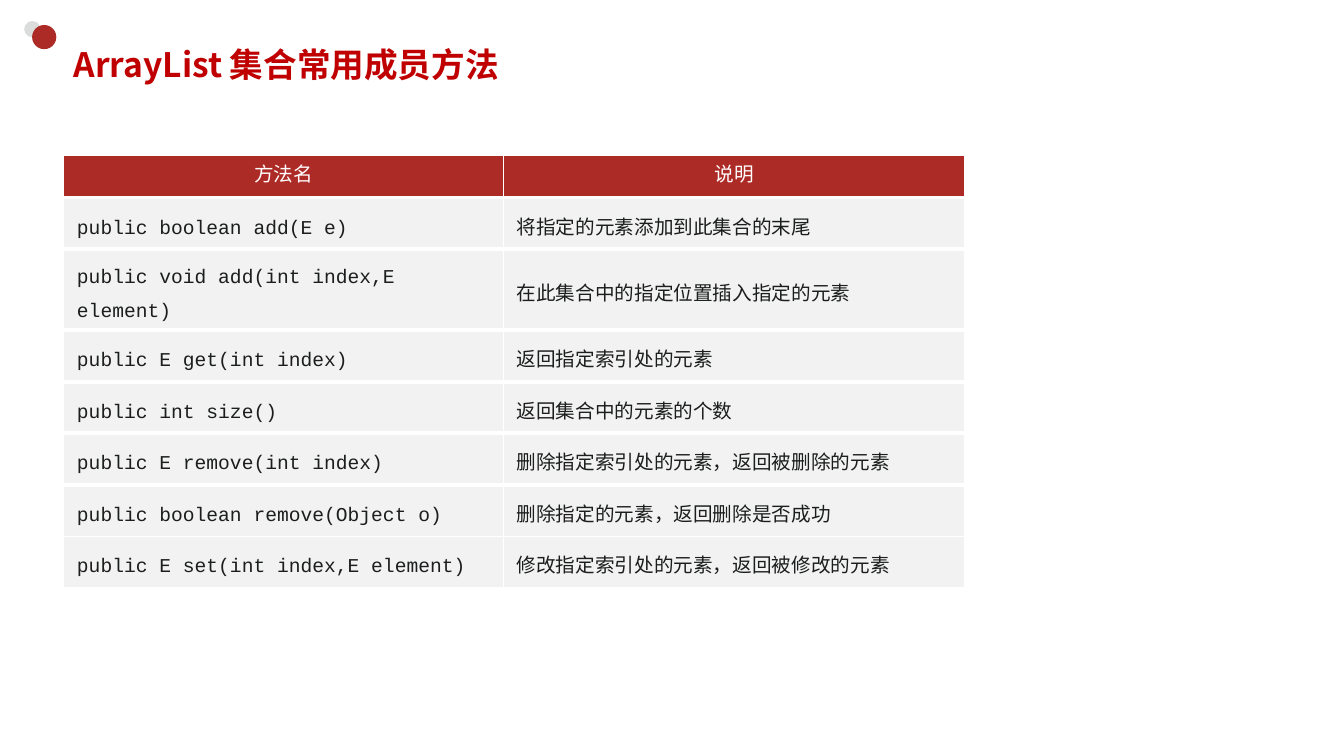
from dataclasses import dataclass
from lxml.etree import SubElement
from pptx import Presentation
from pptx.dml.color import RGBColor
from pptx.enum.shapes import MSO_SHAPE
from pptx.enum.text import MSO_ANCHOR, PP_ALIGN
from pptx.oxml import parse_xml
from pptx.oxml.ns import nsdecls, qn
from pptx.util import Cm, Pt


@dataclass(frozen=True)
class Theme:
    title: str = "C00000"
    red: str = "AD2B26"
    grey: str = "DADDDC"
    pale: str = "F2F2F2"
    ink: str = "1B1E1D"
    white: str = "FFFFFF"
    sans: str = "Noto Sans CJK JP"
    mono: str = "Courier New"
    big: int = 24
    body: int = 14
    thin: int = 1
    thick: int = 3


class Page:
    def __init__(self, slide, theme):
        self.slide, self.theme = slide, theme

    def style(self, para, face, size, color, bold=False):
        font = para.font
        font.name, font.size, font.bold = face, Pt(size), bold
        font.color.rgb = RGBColor.from_string(color)
        # East Asian text uses the same face
        east = parse_xml(f'<a:ea {nsdecls("a")} typeface="{face}"/>')
        para._p.find(".//" + qn("a:latin")).addnext(east)

    def dot(self, left, top, size, color):
        dot = self.slide.shapes.add_shape(
            MSO_SHAPE.OVAL, Cm(left), Cm(top), Cm(size), Cm(size))
        dot.shadow.inherit = False
        dot.fill.solid()
        dot.fill.fore_color.rgb = RGBColor.from_string(color)
        dot.line.fill.background()

    def title(self, text, left, top, width, height):
        box = self.slide.shapes.add_textbox(
            Cm(left), Cm(top), Cm(width), Cm(height))
        frame = box.text_frame
        frame.word_wrap = True
        frame.vertical_anchor = MSO_ANCHOR.MIDDLE
        frame.text = text
        look = self.theme
        self.style(frame.paragraphs[0], look.sans, look.big, look.title, True)

    def edges(self, cell, top, bottom):
        look = self.theme
        props = cell._tc.get_or_add_tcPr()
        sides = dict(L=look.thin, R=look.thin, T=top, B=bottom)
        for side, width in sides.items():
            line = SubElement(props, qn(f"a:ln{side}"), w=str(Pt(width)))
            fill = SubElement(line, qn("a:solidFill"))
            SubElement(fill, qn("a:srgbClr"), val=look.white)

    def cell(self, cell, text, head, top, bottom):
        look = self.theme
        self.edges(cell, top, bottom)
        cell.fill.solid()
        cell.fill.fore_color.rgb = RGBColor.from_string(
            look.red if head else look.pale)
        cell.vertical_anchor = MSO_ANCHOR.MIDDLE
        cell.margin_left = cell.margin_right = Cm(0.25 if head else 0.33)
        cell.margin_top = cell.margin_bottom = Cm(0.13 if head else 0.18)
        cell.text = text
        para = cell.text_frame.paragraphs[0]
        if head:
            para.alignment = PP_ALIGN.CENTER
        else:
            para.line_spacing = 1.5
        self.style(para, look.mono, look.body, look.white if head else look.ink)

    def table(self, rows, left, top, widths, first, rest):
        look = self.theme
        count = len(rows)
        table = self.slide.shapes.add_table(
            count, len(widths), Cm(left), Cm(top), Cm(sum(widths)),
            Cm(first + rest * (count - 1))).table
        for col, width in zip(table.columns, widths):
            col.width = Cm(width)
        # Thick rules between rows, thin at the top and around the last row
        rules = [look.thin] + [look.thick] * (count - 2) + [look.thin] * 2
        for i, row in enumerate(rows):
            table.rows[i].height = Cm(rest if i else first)
            for j, text in enumerate(row):
                self.cell(table.cell(i, j), text, i == 0, rules[i], rules[i + 1])


METHODS = [
    ("方法名", "说明"),
    ("public boolean add(E e)", "将指定的元素添加到此集合的末尾"),
    ("public void add(int index,E element)", "在此集合中的指定位置插入指定的元素"),
    ("public E get(int index)", "返回指定索引处的元素"),
    ("public int size()", "返回集合中的元素的个数"),
    ("public E remove(int index)", "删除指定索引处的元素，返回被删除的元素"),
    ("public boolean remove(Object o)", "删除指定的元素，返回删除是否成功"),
    ("public E set(int index,E element)", "修改指定索引处的元素，返回被修改的元素"),
]


def main():
    deck = Presentation()
    deck.slide_width, deck.slide_height = Cm(33.87), Cm(19.05)
    theme = Theme()
    page = Page(deck.slides.add_slide(deck.slide_layouts[6]), theme)

    # Corner dots
    page.dot(0.61, 0.53, 0.41, theme.grey)
    page.dot(0.81, 0.63, 0.61, theme.red)

    # Method table
    page.table(METHODS, 1.61, 3.92, (11.08, 11.63), 1.06, 1.3)

    # Heading
    page.title("ArrayList 集合常用成员方法", 1.61, 0.95, 29.82, 1.31)

    deck.save("out.pptx")


if __name__ == "__main__":
    main()
